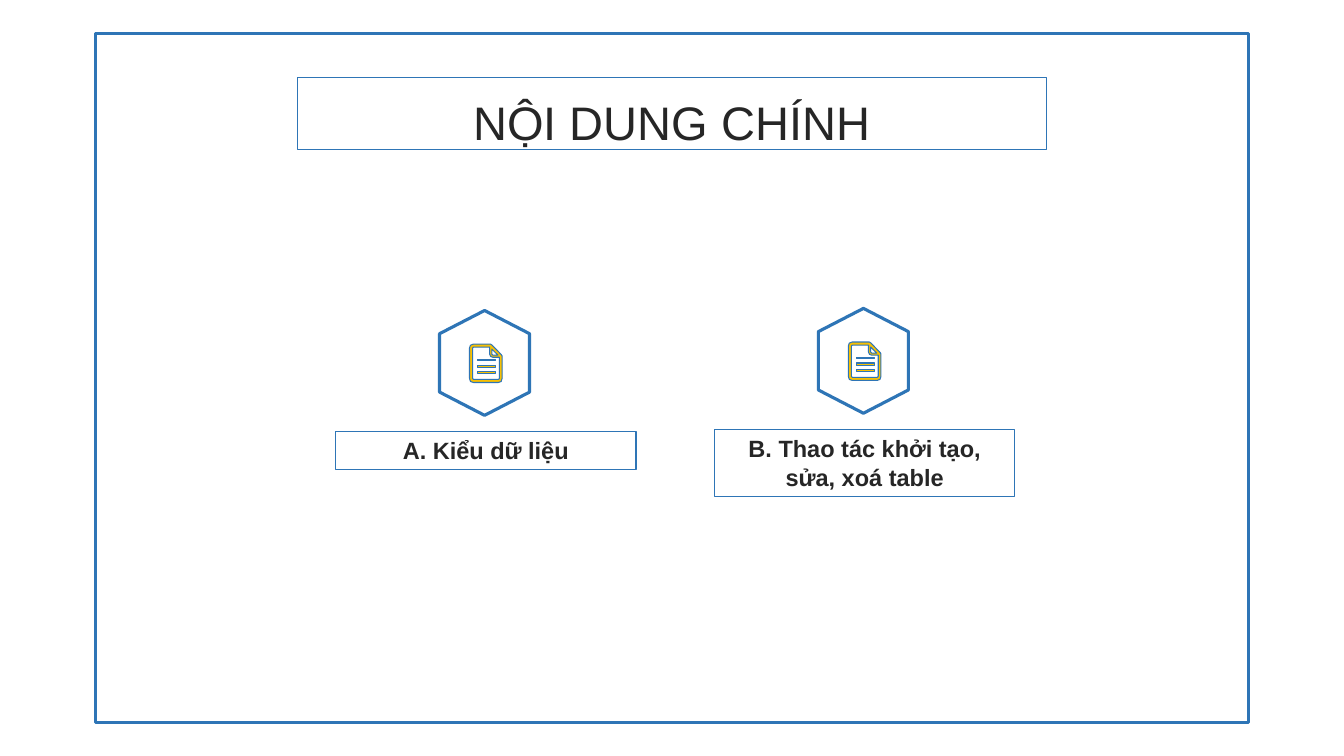
from pptx import Presentation
from pptx.dml.color import RGBColor
from pptx.enum.shapes import MSO_SHAPE as Preset
from pptx.enum.text import MSO_ANCHOR as Anchor, PP_ALIGN as Align
from pptx.util import Pt

COLORS = {"blue": "2E75B6", "ink": "262626", "gold": "F8C002"}

HEXAGON = [[(32.2, 0), (64.3, 16.6), (64.3, 58.3), (32.2, 74.9), (0, 58.3), (0, 16.6)]]
PAGE_EDGE = [(2.8, 0), (15, 0), (16, 0.6), (22.8, 7.6), (23.3, 8.6), (23.3, 24.5), (22.6, 26.7),
             (20.7, 27.4), (2.8, 27.4), (0.7, 26.7), (0, 24.5), (0, 2.8), (0.7, 0.8)]
PAGE_INSIDE = [(2.2, 2.8), (2.8, 2.2), (14.4, 2.2), (14.4, 7.2), (15.1, 8.8), (16.6, 9.4),
               (21.4, 9.4), (21.4, 24.5), (20.8, 25.2), (2.8, 25.2), (2.2, 24.5)]
PAGE_FOLD = [(16, 3.6), (20.3, 7.9), (16.6, 7.9), (16, 7.2)]
TEXT_LINES = [[(5.6, top), (18.4, top), (18.4, top + height), (5.6, top + height)]
              for top, height in ((11.2, 0.6), (15, 1.5), (19.3, 1.5))]
DOCUMENT = [PAGE_EDGE, PAGE_INSIDE, PAGE_FOLD, *TEXT_LINES]

TOPICS = [
    ("B. Thao tác khởi tạo, sửa, xoá table", 584.6, 220.3, 48.2),
    ("A. Kiểu dữ liệu", 314, 221.8, 27.4),
]


def write_text(box, text, size, bold=False, spacing=None):
    frame = box.text_frame
    frame.word_wrap = True
    frame.vertical_anchor = Anchor.TOP
    para = frame.paragraphs[0]
    para.alignment = Align.CENTER
    if spacing:
        para.line_spacing = spacing
    span = para.add_run()
    span.text = text
    span.font.name = "Arial"
    span.font.size = Pt(size)
    span.font.bold = bold
    span.font.color.rgb = RGBColor.from_string(COLORS["ink"])


class Page:
    def __init__(self, deck):
        self.slide = deck.slides.add_slide(deck.slide_layouts[6])

    def style(self, shape, weight, fill=None):
        shape.shadow.inherit = False
        shape.line.color.rgb = RGBColor.from_string(COLORS["blue"])
        shape.line.width = Pt(weight)
        if fill:
            shape.fill.solid()
            shape.fill.fore_color.rgb = RGBColor.from_string(COLORS[fill])
        else:
            shape.fill.background()

    def frame(self, left, top, width, height, weight):
        box = self.slide.shapes.add_shape(Preset.RECTANGLE, Pt(left), Pt(top), Pt(width), Pt(height))
        self.style(box, weight)
        return box

    def outline(self, group, contours, left, top, weight, fill=None):
        placed = [[(Pt(left + x), Pt(top + y)) for x, y in contour] for contour in contours]
        builder = group.shapes.build_freeform(*placed[0][0])
        builder.add_line_segments(placed[0][1:], close=True)
        for contour in placed[1:]:
            builder.move_to(*contour[0])
            builder.add_line_segments(contour[1:], close=True)
        self.style(builder.convert_to_shape(), weight, fill)

    def topic(self, text, left, top, label_height):
        label = self.frame(left - 74.3, top + 86.4, 214.6, label_height, 0.75)
        write_text(label, text, 16.8, bold=True)
        badge = self.slide.shapes.add_group_shape()
        self.outline(badge, HEXAGON, left, top, 2.25)
        self.outline(badge, DOCUMENT, left + 21.4, top + 24, 0.75, "gold")


def main():
    deck = Presentation()
    deck.slide_width, deck.slide_height = Pt(960), Pt(540)
    page = Page(deck)
    title = page.frame(212.4, 55.2, 535, 51.8, 1)
    write_text(title, "NỘI DUNG CHÍNH", 33.6, spacing=1.2)
    page.frame(68.1, 23.8, 823.7, 492.5, 2.5)
    for topic in TOPICS:
        page.topic(*topic)
    deck.save("out.pptx")


if __name__ == "__main__":
    main()
